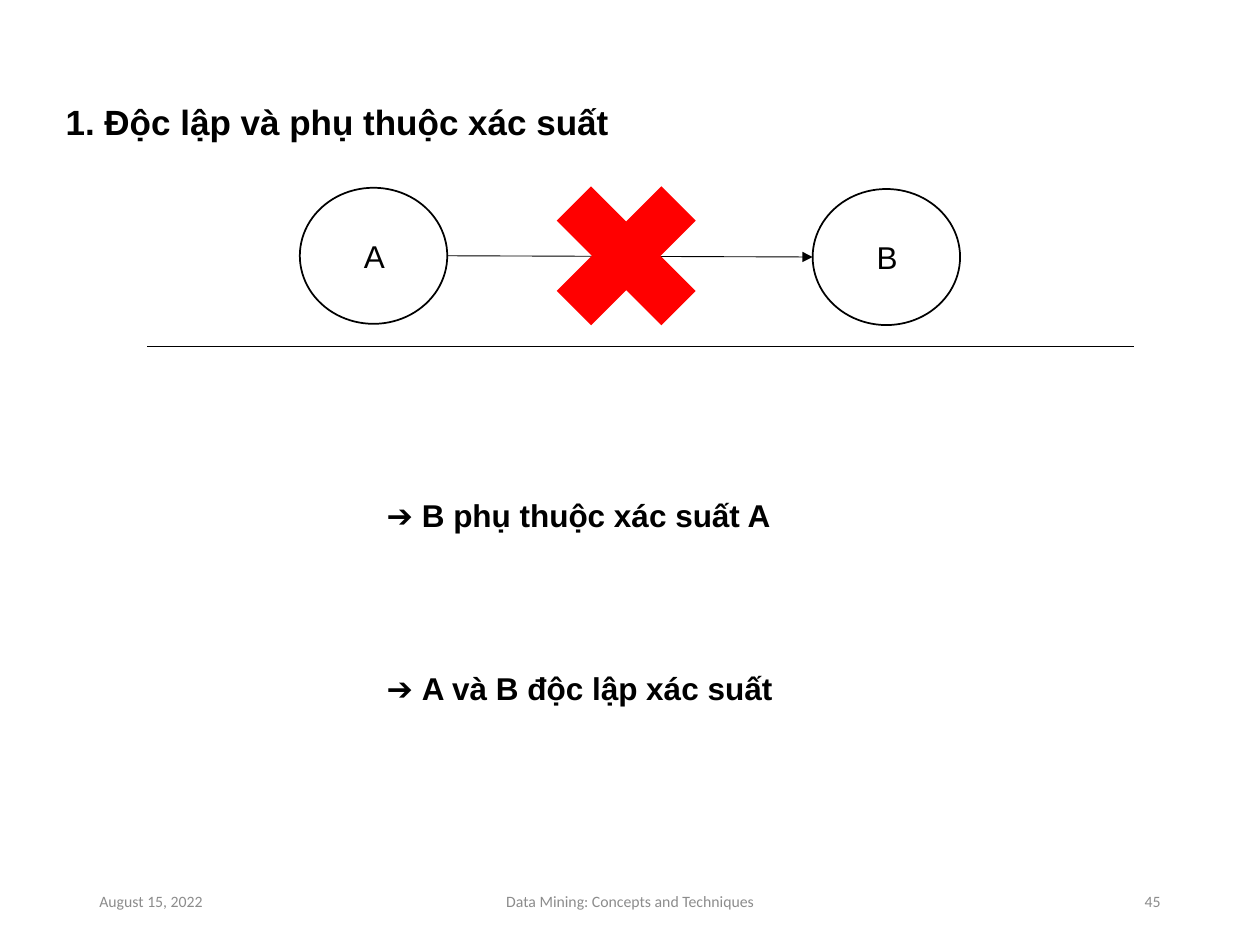
import pptx
import pptx.dml.color
import pptx.enum.shapes
import pptx.enum.text
import pptx.oxml.ns
import pptx.util
from lxml import etree

Inches, Pt = pptx.util.Inches, pptx.util.Pt
ALIGN = pptx.enum.text.PP_ALIGN
ANCHOR = pptx.enum.text.MSO_ANCHOR
SHAPE = pptx.enum.shapes.MSO_SHAPE

TITLE = "1. Độc lập và phụ thuộc xác suất"
FOOTERS = [
    ("August 15, 2022", 0.69, 2.25, ALIGN.LEFT),
    ("Data Mining: Concepts and Techniques", 3.31, 3.38, ALIGN.CENTER),
    ("45", 7.06, 2.25, ALIGN.RIGHT),
]
NODES = [("A", 2.38, 1.49), ("B", 6.45, 1.5)]
NODE_WIDTH, NODE_HEIGHT = 1.17, 1.08
CONCLUSIONS = [("B phụ thuộc xác suất A", 3.89, 5), ("A và B độc lập xác suất", 5.26, 4.65)]
BLACK, WHITE, RED, GRAY = "000000", "FFFFFF", "FF0000", "8C8C8C"


def color(hex_value):
    return pptx.dml.color.RGBColor.from_string(hex_value)


def place(shape, left, top, width, height):
    shape.left, shape.top = Inches(left), Inches(top)
    shape.width, shape.height = Inches(width), Inches(height)


def write(shape, runs, size, font="Arial", fill=BLACK, align=ALIGN.LEFT, anchor=ANCHOR.TOP):
    frame = shape.text_frame
    frame.word_wrap = True
    frame.auto_size = pptx.enum.text.MSO_AUTO_SIZE.NONE
    frame.vertical_anchor = anchor
    paragraph = frame.paragraphs[0]
    paragraph.alignment = align
    for text, bold in runs:
        run = paragraph.add_run()
        run.text = text
        run.font.name, run.font.size, run.font.bold = font, Pt(size), bold
        run.font.color.rgb = color(fill)


def add_text(shapes, box, runs, size, **style):
    text_box = shapes.add_textbox(*map(Inches, box))
    write(text_box, runs, size, **style)
    return text_box


def add_outline_part(shape, tag, **attributes):
    outline = shape._element.spPr.find(pptx.oxml.ns.qn("a:ln"))
    etree.SubElement(outline, pptx.oxml.ns.qn(tag), **attributes)


def add_shape(shapes, kind, box, fill, line):
    shape = shapes.add_shape(kind, *map(Inches, box))
    shape.shadow.inherit = False
    shape.fill.solid()
    shape.fill.fore_color.rgb = color(fill)
    shape.line.color.rgb = color(line)
    shape.line.width = Pt(1)
    add_outline_part(shape, "a:miter", lim="800000")
    return shape


def add_line(shapes, start, end):
    line = shapes.add_connector(
        pptx.enum.shapes.MSO_CONNECTOR.STRAIGHT, *map(Inches, start + end))
    line.line.color.rgb = color(BLACK)
    line.line.width = Pt(0.5)
    etree.SubElement(line._element.spPr, pptx.oxml.ns.qn("a:effectLst"))
    return line


def main():
    """Build the slide on probabilistic independence and dependence."""
    presentation = pptx.Presentation()
    presentation.slide_width, presentation.slide_height = Inches(10), Inches(7.5)
    slide = presentation.slides.add_slide(presentation.slide_layouts[5])
    shapes = slide.shapes

    place(shapes.title, 0.42, 0.75, 5.25, 0.44)
    write(shapes.title, [(TITLE, True)], 20)

    for text, left, width, align in FOOTERS:
        add_text(shapes, (left, 6.95, width, 0.4), [(text, False)], 9,
                 font="Calibri", fill=GRAY, align=align, anchor=ANCHOR.MIDDLE)

    for name, left, top in NODES:
        circle = add_shape(shapes, SHAPE.OVAL, (left, top, NODE_WIDTH, NODE_HEIGHT), WHITE, BLACK)
        label = add_text(shapes, (left + 0.41, top + 0.34, 0.58, 0.4), [(name, False)], 18)
        shapes.add_group_shape([circle, label])

    (_, left_a, top_a), (_, left_b, top_b) = NODES
    add_line(shapes, (1.17, 2.75), (9, 2.75))
    arrow = add_line(shapes, (left_a + NODE_WIDTH, top_a + NODE_HEIGHT / 2),
                     (left_b, top_b + NODE_HEIGHT / 2))
    add_outline_part(arrow, "a:tailEnd", type="triangle")
    add_shape(shapes, SHAPE.MATH_MULTIPLY, (4.18, 1.24, 1.58, 1.58), RED, RED)

    for text, top, width in CONCLUSIONS:
        add_text(shapes, (2.97, top, width, 0.4), [("➔ ", False), (text, True)], 18)

    presentation.save("out.pptx")


if __name__ == "__main__":
    main()
